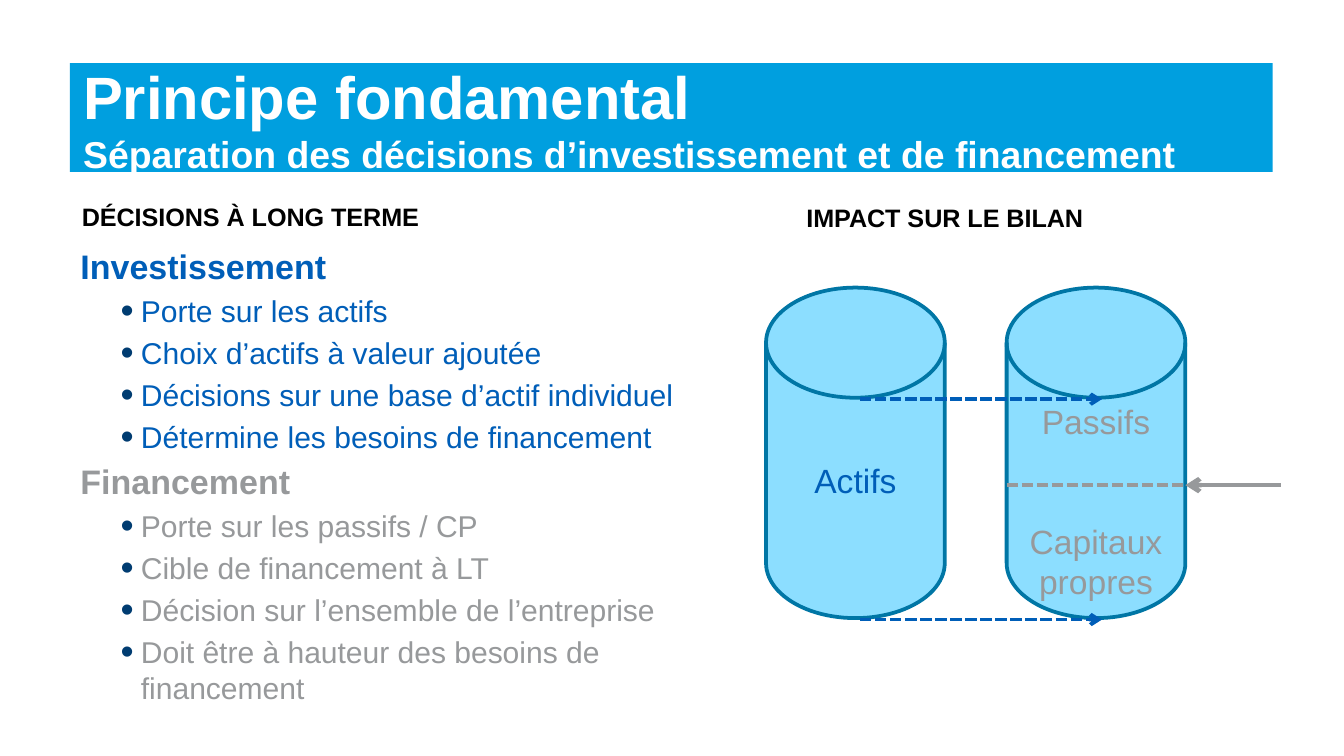
from lxml import etree
from pptx import Presentation
from pptx.dml.color import RGBColor
from pptx.enum import dml, shapes, text
from pptx.oxml import ns
from pptx.util import Inches, Pt

WHITE = RGBColor(0xFF, 0xFF, 0xFF)
BLACK = RGBColor(0, 0, 0)
CYAN = RGBColor(0x00, 0x9F, 0xDF)
BLUE = RGBColor(0x00, 0x5E, 0xB8)
NAVY = RGBColor(0x00, 0x3C, 0x71)
GREY = RGBColor(0x97, 0x99, 0x9B)
SKY = RGBColor(0x8C, 0xDE, 0xFF)
TEAL = RGBColor(0x00, 0x76, 0xA5)

TOP, MID, LOW = text.MSO_ANCHOR.TOP, text.MSO_ANCHOR.MIDDLE, text.MSO_ANCHOR.BOTTOM
LEFT, MIDST = text.PP_ALIGN.LEFT, text.PP_ALIGN.CENTER

TOPICS = [
    ("Investissement", BLUE, [
        "Porte sur les actifs",
        "Choix d’actifs à valeur ajoutée",
        "Décisions sur une base d’actif individuel",
        "Détermine les besoins de financement",
    ]),
    ("Financement", GREY, [
        "Porte sur les passifs / CP",
        "Cible de financement à LT",
        "Décision sur l’ensemble de l’entreprise",
        "Doit être à hauteur des besoins de financement",
    ]),
]


def add(owner, tag, **attrs):
    node = etree.SubElement(owner, ns.qn(tag))
    for key, value in attrs.items():
        node.set(key, str(value))
    return node


def dot(para):
    props = para._p.get_or_add_pPr()
    props.set("marL", str(Inches(0.45)))
    props.set("indent", str(Inches(-0.15)))
    add(add(props, "a:buClr"), "a:srgbClr", val=NAVY)
    add(props, "a:buSzPct", val=125000)
    add(props, "a:buFont", typeface="Arial")
    add(props, "a:buChar", char="•")


def write(frame, words, size=18, color=BLACK, bold=False, align=LEFT,
          gap=0, bullet=False):
    fresh = not frame.paragraphs[0].runs
    para = frame.paragraphs[0] if fresh else frame.add_paragraph()
    para.alignment = align
    if gap and not fresh:
        para.space_before = Pt(gap)
    if bullet:
        para.level = 1
        dot(para)
    font = para.font
    font.name, font.size, font.bold = "Arial", Pt(size), bold
    font.color.rgb = color
    para.add_run().text = words
    return para


def frame(slide, box, anchor=TOP):
    area = slide.shapes.add_textbox(*map(Inches, box)).text_frame
    area.word_wrap = True
    area.vertical_anchor = anchor
    return area


def solid(slide, kind, box, fill, edge=None):
    shape = slide.shapes.add_shape(kind, *map(Inches, box))
    shape.shadow.inherit = False
    shape.fill.solid()
    shape.fill.fore_color.rgb = fill
    if edge:
        shape.line.color.rgb = edge
        shape.line.width = Pt(2)
    else:
        shape.line.fill.background()
    shape.text_frame.word_wrap = True
    shape.text_frame.vertical_anchor = MID
    return shape


def rule(slide, start, end, y, color, width=2, dash=True, arrow=True):
    line = slide.shapes.add_connector(
        shapes.MSO_CONNECTOR.STRAIGHT, *map(Inches, (start, y, end, y)))
    line.line.color.rgb = color
    line.line.width = Pt(width)
    if dash:
        line.line.dash_style = dml.MSO_LINE.SQUARE_DOT
    if arrow:
        add(line.line._get_or_add_ln(), "a:tailEnd", type="arrow")
    add(line._element.spPr, "a:effectLst")


def banner(slide, box):
    area = solid(slide, shapes.MSO_SHAPE.RECTANGLE, box, CYAN).text_frame
    para = write(area, "Principe fondamental", size=32, color=WHITE, bold=True)
    para.add_line_break()
    run = para.add_run()
    run.text = "Séparation des décisions d’investissement et de financement"
    run.font.size = Pt(20)


def choices(slide, box):
    x, y, w, h = box
    head = frame(slide, (x + 0.01, y, 4.42, 0.52), LOW)
    write(head, "DÉCISIONS À LONG TERME", size=13.5, bold=True)
    body = frame(slide, (x, y + 0.53, w, h - 0.53))
    for name, color, items in TOPICS:
        write(body, name, size=18.2, color=color, bold=True, gap=3.2)
        for item in items:
            write(body, item, size=16.1, color=color, gap=3.2, bullet=True)


def balance(slide, box):
    x, y, w, h = box
    head = frame(slide, (x, y, 3.9, 0.52), LOW)
    write(head, "IMPACT SUR LE BILAN", size=13.5, bold=True, align=MIDST)

    wide, tall, top = 1.33, 2.46, y + 0.88
    near, far = x + 0.62, x + 2.41
    assets, funds = [
        solid(slide, shapes.MSO_SHAPE.FLOWCHART_MAGNETIC_DISK,
              (left, top, wide, tall), SKY, TEAL).text_frame
        for left in (near, far)]
    write(assets, "Actifs", color=BLUE, align=MIDST)
    funds.vertical_anchor = TOP
    funds.margin_top, funds.margin_bottom = Inches(0.02), 0
    for words, gap in (("Passifs", 0), ("Capitaux", 43), ("propres", 0)):
        write(funds, words, color=GREY, align=MIDST, gap=gap)

    for level in (top + tall / 3, top + tall):
        rule(slide, near + 0.7, far + 0.71, level + 0.01, BLUE)
    split = top + 1.47
    rule(slide, far, far + wide, split, GREY, arrow=False)
    rule(slide, x + w, far + wide, split, GREY, width=2.5, dash=False)


def main():
    deck = Presentation()
    deck.slide_width = Inches(10)
    deck.slide_height = deck.slide_width * 9 // 16
    slide = deck.slides.add_slide(deck.slide_layouts[6])
    banner(slide, (0.52, 0.47, 8.95, 0.81))
    choices(slide, (0.5, 1.25, 4.81, 3.77))
    balance(slide, (5.08, 1.26, 4.45, 3.36))
    deck.save("out.pptx")


if __name__ == "__main__":
    main()
